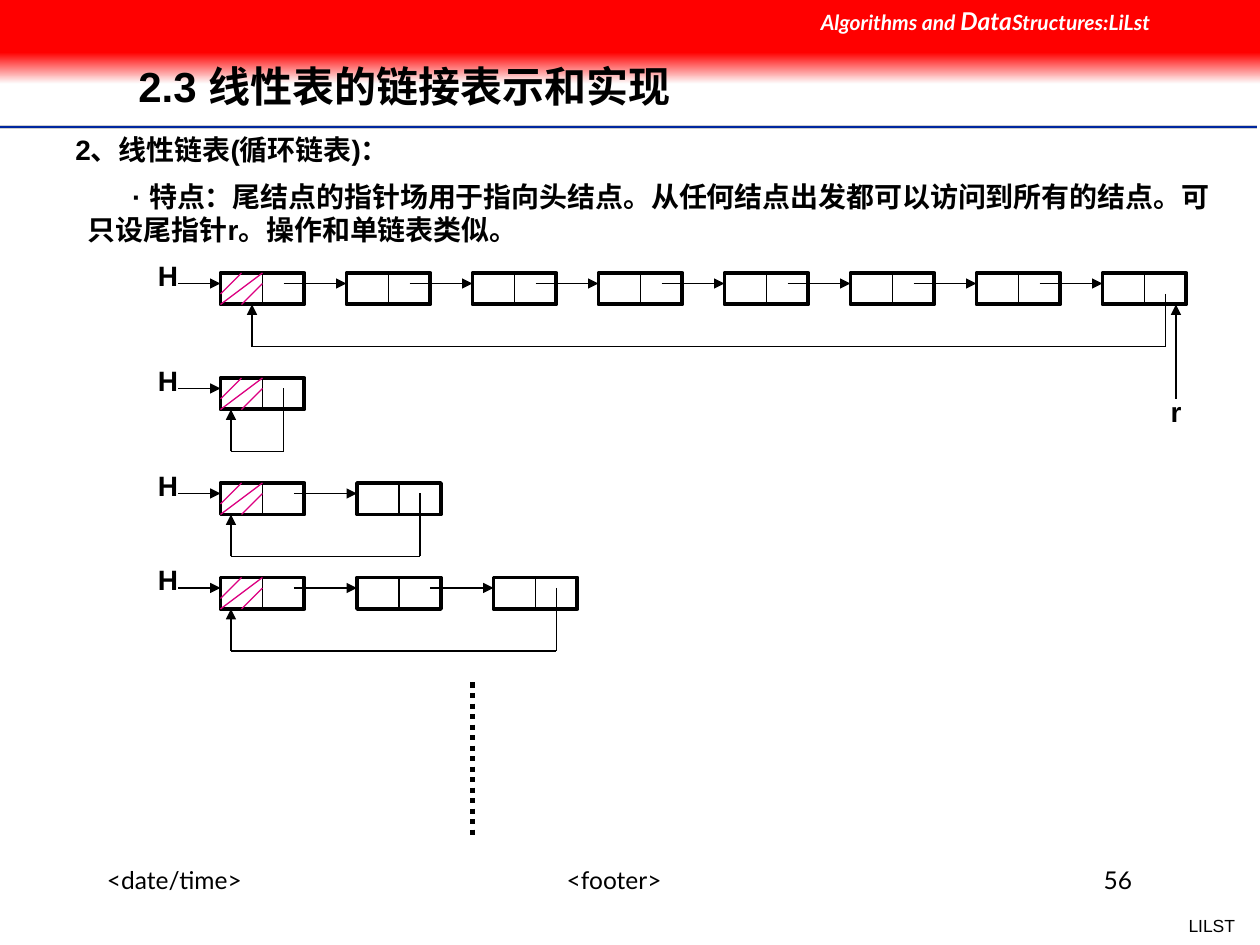
from lxml import etree
from pptx import Presentation
from pptx.dml.color import RGBColor
from pptx.enum.dml import MSO_LINE
from pptx.enum.shapes import MSO_CONNECTOR, MSO_SHAPE
from pptx.enum.text import MSO_ANCHOR, PP_ALIGN
from pptx.oxml.ns import qn
from pptx.util import Inches, Pt

RECT = MSO_SHAPE.RECTANGLE
STRAIGHT = MSO_CONNECTOR.STRAIGHT
LEFT, CENTER, RIGHT = PP_ALIGN.LEFT, PP_ALIGN.CENTER, PP_ALIGN.RIGHT
BLACK, WHITE, RED = "000000", "FFFFFF", "FF0000"
MAGENTA, NAVY, SILVER = "DC0081", "00279F", "CECECE"
rgb = RGBColor.from_string

# The slide is a grid of 120 columns by 90 rows, twelve to the inch.
COLUMNS, ROWS = 120, 90
UNIT = Inches(1) / 12

prs = Presentation()
prs.slide_width, prs.slide_height = round(COLUMNS * UNIT), round(ROWS * UNIT)
slide = prs.slides.add_slide(prs.slide_layouts[6])
shapes = slide.shapes


def add_line(x1, y1, x2, y2, color=BLACK, width=0.75, arrow=False):
    """Draw a line between two grid points, with an arrowhead at the second if asked."""
    line = shapes.add_connector(STRAIGHT, *(round(n * UNIT) for n in (x1, y1, x2, y2)))
    line.line.color.rgb = rgb(color)
    line.line.width = Pt(width)
    properties = line.line._get_or_add_ln().getparent()
    etree.SubElement(properties, qn("a:effectLst"))
    if arrow:
        etree.SubElement(line.line._get_or_add_ln(), qn("a:tailEnd"), type="triangle")
    return line


def add_text(grid_box, *pieces, size=16, font="Arial", color=BLACK, bold=True,
             italic=False, align=LEFT, wrap=True):
    """Add one paragraph, a run for each piece, in a box measured in grid units."""
    frame = shapes.add_textbox(*(round(n * UNIT) for n in grid_box)).text_frame
    frame.word_wrap = wrap
    paragraph = frame.paragraphs[0]
    paragraph.text = pieces[0]
    for piece in pieces[1:]:
        paragraph.add_run().text = piece
    paragraph.alignment = align
    for run in paragraph.runs:
        run.font.name, run.font.size = font, Pt(size)
        run.font.bold, run.font.italic = bold, italic
        run.font.color.rgb = rgb(color)
    return frame


# Rule under the title, and the footer
for y, color, width in ((12.1, SILVER, 2), (12.1, NAVY, 1), (12.35, WHITE, 1)):
    add_line(0, y, 119.75, y, color, width)
add_text((112, 86.6, 6.8, 3.25), "LILST", size=10, bold=False, align=RIGHT, wrap=False)
for x, width, footer, align in ((9, 23, "<date/time>", LEFT),
                                (41, 35, "<footer>", CENTER),
                                (86, 23, "56", RIGHT)):
    add_text((x, 81.75, width, 6), footer, size=14, font="Lato", bold=False, align=align)

# Red banner that fades to white
for top, height in ((5, 3), (0, 5)):
    band = shapes.add_shape(RECT, 0, round(top * UNIT), prs.slide_width, round(height * UNIT))
    band.shadow.inherit = False
    band.line.fill.background()
    if top:
        band.fill.gradient()
        band.fill.gradient_angle = 270
        for stop, color in zip(band.fill.gradient_stops, (RED, "FEFEFE")):
            stop.color.rgb = rgb(color)
    else:
        band.fill.solid()
        band.fill.fore_color.rgb = rgb(RED)

course = add_text((77, 0, 43, 4), "Algorithms and ", "Data", "Structures:LiLst",
                  size=12, font="Lato", color=WHITE, italic=True)
course.paragraphs[0].runs[1].font.size = Pt(14)

title = add_text((12, 4, 90.6, 8.9), "2.3 线性表的链接表示和实现", size=24)
title.vertical_anchor = MSO_ANCHOR.MIDDLE
title.paragraphs[0].line_spacing = 0.9

heading = add_text((0, 12, 115, 4.4), "2、线性链表(循环链表)：")
feature = add_text((0, 16.5, 120, 7.7),
                   "· 特点：尾结点的指针场用于指向头结点。从任何结点出发都可以访问到所有的结点。可"
                   "\v只设尾指针r。操作和单链表类似。")
for frame, margin, indent in ((heading, 0.5, 0), (feature, 0.6, 0.35)):
    layout = frame.paragraphs[0]._p.get_or_add_pPr()
    layout.set("marL", str(Inches(margin)))
    layout.set("indent", str(Inches(indent)))

# Circular lists: top row, node count, node pitch, column where the link leaves a
# node, row where the closing link starts, column where it returns to the head
HEAD, NODE_W, NODE_H, HALF = 21, 8, 3, 4
HATCHING = ((4, 0, 0, 3), (4, 1, 2, 3), (2, 0, 0, 2))
circular_lists = (
    (26, 8, 12, 6, 2, 3),
    (36, 1, 13, 7, 1, 1),
    (46, 2, 13, 7, 1, 1),
    (55, 3, 13, 7, 1, 1),
)
for top, count, pitch, link_out, closing_row, return_column in circular_lists:
    for index in range(count):
        left = HEAD + index * pitch
        node = shapes.add_shape(RECT, *(round(n * UNIT) for n in (left, top, NODE_W, NODE_H)))
        node.shadow.inherit = False
        node.fill.solid()
        node.fill.fore_color.rgb = rgb(WHITE)
        node.line.color.rgb = rgb(BLACK)
        node.line.width = Pt(2.25)
        add_line(left + HALF, top, left + HALF, top + NODE_H)
        if index == 0:
            for x1, y1, x2, y2 in HATCHING:
                add_line(left + x1, top + y1, left + x2, top + y2, MAGENTA)
        else:
            add_line(left - pitch + link_out, top + 1, left, top + 1, arrow=True)

    tail_x, return_x, return_y = left + 6, HEAD + return_column, top + 7
    add_line(tail_x, top + closing_row, tail_x, return_y)
    add_line(return_x, return_y, tail_x, return_y)
    add_line(return_x, return_y, return_x, top + NODE_H, arrow=True)
    add_line(HEAD - 4, top + 1, HEAD, top + 1, arrow=True)
    add_text((HEAD - 8, top - 2, 6, 4.4), "H", align=CENTER)

# And so on, then the tail pointer of the longest list
add_line(45, 65, 45, 80, width=3).line.dash_style = MSO_LINE.ROUND_DOT
add_line(112, 38, 112, 29, arrow=True)
add_text((109, 37, 6, 4.4), "r", align=CENTER)

prs.save("out.pptx")
